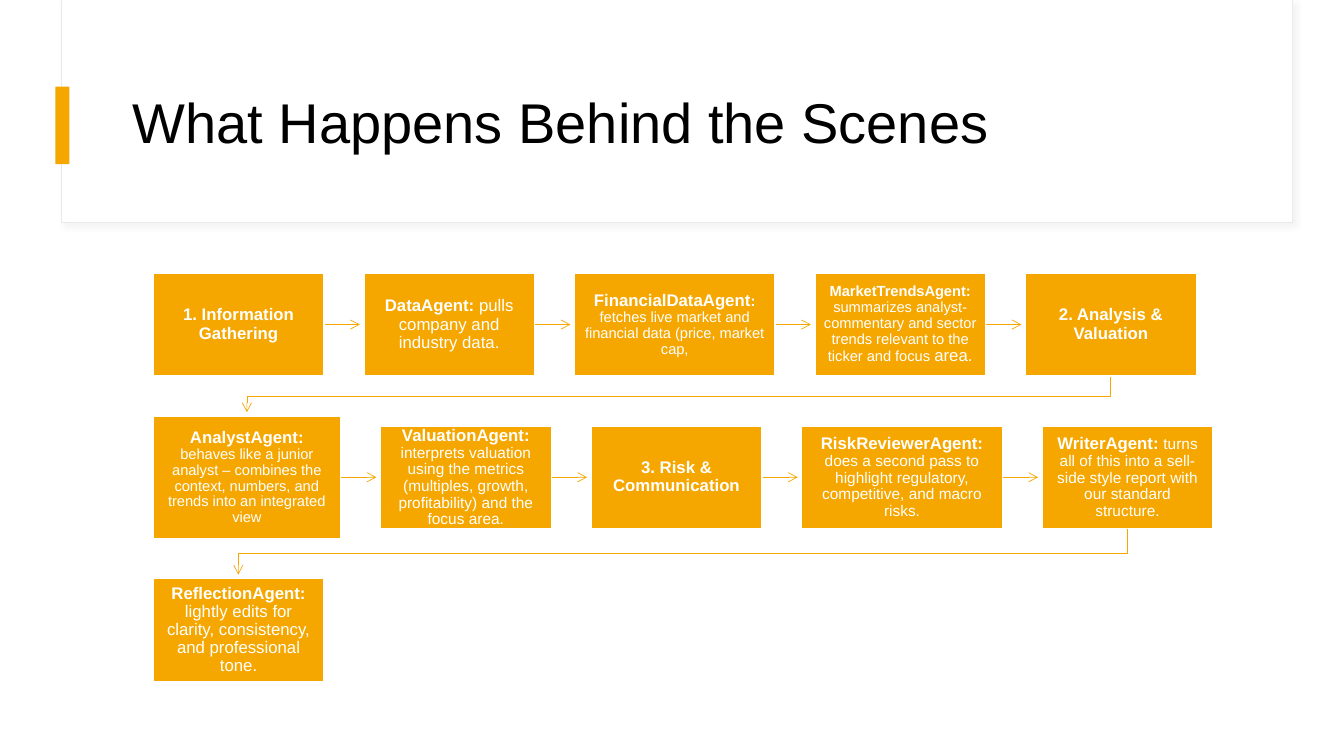
from itertools import pairwise

from lxml.etree import SubElement
from pptx import Presentation
from pptx.dml.color import RGBColor
from pptx.enum.shapes import MSO_CONNECTOR, MSO_SHAPE
from pptx.enum.text import MSO_ANCHOR, PP_ALIGN
from pptx.oxml.ns import qn
from pptx.util import Pt

TITLE = "What Happens Behind the Scenes"
NARROW, MEDIUM, WIDE = 339, 372, 398
LOW, TALL = 204, 242
ROWS = [
    [
        (NARROW, LOW, [("1. Information Gathering", 12, True)]),
        (NARROW, LOW, [("DataAgent:", 12, True),
                       (" pulls company and industry data.", 12, False)]),
        (WIDE, LOW, [("FinancialDataAgent", 12, True), (":", 10.5, True),
                     (" fetches live market and financial data (price, market cap,", 10.5, False)]),
        (NARROW, LOW, [("MarketTrendsAgent: ", 10.5, True),
                       ("summarizes analyst-commentary and sector trends relevant "
                        "to the ticker and focus ", 10.5, False),
                       ("area.", 12, False)]),
        (NARROW, LOW, [("2. Analysis & Valuation", 12, True)]),
    ],
    [
        (MEDIUM, TALL, [("AnalystAgent: ", 12, True),
                        ("behaves like a junior analyst – combines the context, numbers, "
                         "and trends into an integrated view", 10.5, False)]),
        (NARROW, LOW, [("ValuationAgent: ", 12, True),
                       ("interprets valuation using the metrics (multiples, growth, "
                        "profitability) and the focus area.", 11, False)]),
        (NARROW, LOW, [("3. Risk & Communication", 12, True)]),
        (WIDE, LOW, [("RiskReviewerAgent: ", 12, True),
                     ("does a second pass to highlight regulatory, competitive, "
                      "and macro risks.", 11, False)]),
        (NARROW, LOW, [("WriterAgent: ", 12, True),
                       ("turns all of this into a sell-side style report with "
                        "our standard structure.", 11, False)]),
    ],
    [
        (NARROW, LOW, [("ReflectionAgent:", 12, True),
                       (" lightly edits for clarity, consistency, and professional tone.", 12, False)]),
    ],
]

PX = 4572
SLIDE_W, SLIDE_H = 2667, 1500
LEFT, FIRST_CENTER = 304, 644
GAP, ROW_GAP, TIP_GAP = 79, 80, 8
AMBER = RGBColor(0xF5, 0xA7, 0x00)
WHITE = RGBColor(0xFF, 0xFF, 0xFF)
BLACK = RGBColor(0x00, 0x00, 0x00)
PALE = RGBColor(0xE9, 0xE9, 0xE9)
FRAME_SHADOW = "D9D9D9"

deck = Presentation()
deck.slide_width, deck.slide_height = SLIDE_W * PX, SLIDE_H * PX
slide = deck.slides.add_slide(deck.slide_layouts[6])


def add_box(place, fill, border=None, weight=1):
    box = slide.shapes.add_shape(MSO_SHAPE.RECTANGLE, *(n * PX for n in place))
    box.shadow.inherit = False
    box.fill.solid()
    box.fill.fore_color.rgb = fill
    if border is None:
        box.line.fill.background()
    else:
        box.line.color.rgb = border
        box.line.width = Pt(weight)
    return box


def write(frame, runs, color, align, insets):
    formats = dict(zip(("margin_left", "margin_top", "margin_right", "margin_bottom"),
                       (n * PX for n in insets)))
    formats.update(word_wrap=True, vertical_anchor=MSO_ANCHOR.MIDDLE)
    for name, value in formats.items():
        setattr(frame, name, value)
    paragraph = frame.paragraphs[0]
    paragraph.alignment = align
    paragraph.line_spacing = 0.9
    for text, size, bold in runs:
        run = paragraph.add_run()
        run.text = text
        for name, value in {"name": "Arial", "size": Pt(size), "bold": bold}.items():
            setattr(run.font, name, value)
        run.font.color.rgb = color


def add_arrow(points):
    if len(points) == 2:
        arrow = slide.shapes.add_connector(
            MSO_CONNECTOR.STRAIGHT, *(n * PX for point in points for n in point))
        SubElement(arrow.element.spPr, qn("a:effectLst"))
    else:
        route = slide.shapes.build_freeform(*points[0], scale=PX)
        route.add_line_segments(points[1:], close=False)
        arrow = route.convert_to_shape()
        arrow.shadow.inherit = False
        arrow.fill.background()
    arrow.line.color.rgb = AMBER
    arrow.line.width = Pt(0.5)
    SubElement(arrow.line._get_or_add_ln(), qn("a:tailEnd"), type="arrow")


header = add_box((122, 0, 2442, 442), WHITE, PALE, 0.75)
effects = header.element.spPr.find(qn("a:effectLst"))
shadow = SubElement(effects, qn("a:outerShdw"), blurRad=str(Pt(4)), dist=str(Pt(3)),
                    dir="2700000", algn="tl", rotWithShape="0")
tint = SubElement(shadow, qn("a:srgbClr"), val=FRAME_SHADOW)
SubElement(tint, qn("a:alpha"), val="30000")
add_box((124, 0, 2440, 440), WHITE)
add_box((110, 172, 28, 154), AMBER)
title = slide.shapes.add_textbox(*(n * PX for n in (244, 120, 2224, 258)))
write(title.text_frame, [(TITLE, 40, False)], BLACK, PP_ALIGN.LEFT, (20, 10, 20, 10))

places = []
top = FIRST_CENTER - LOW // 2
for row in ROWS:
    row_height = max(height for _, height, _ in row)
    center = top + row_height // 2
    left = LEFT
    row_places = []
    for width, height, _ in row:
        row_places.append((left, center - height // 2, width, height))
        left += width + GAP
    places.append(row_places)
    top += row_height + ROW_GAP

for row_places in places:
    for (x, y, w, h), (next_x, *_) in pairwise(row_places):
        add_arrow([(x + w, y + h // 2), (next_x - TIP_GAP, y + h // 2)])
for upper, lower in pairwise(places):
    x, y, w, h = upper[-1]
    next_x, next_y, next_w, _ = lower[0]
    start, end = x + w // 2, next_x + next_w // 2
    turn = (y + h + next_y) // 2
    add_arrow([(start, y + h), (start, turn), (end, turn), (end, next_y - TIP_GAP)])

for row, row_places in zip(ROWS, places):
    for (_, _, runs), place in zip(row, row_places):
        step = add_box(place, AMBER, WHITE)
        write(step.text_frame, runs, WHITE, PP_ALIGN.CENTER, (16, 18, 16, 18))

deck.save("out.pptx")
